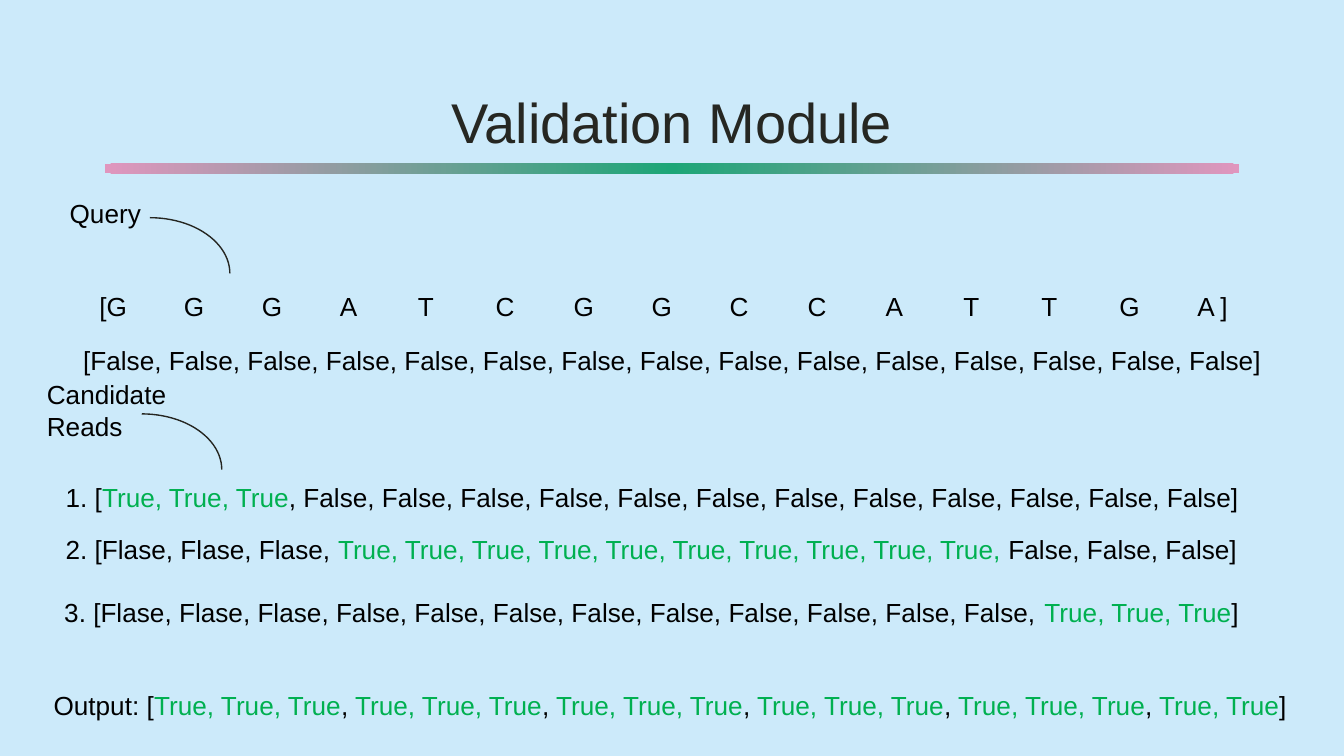
from lxml import etree
from pptx import Presentation
from pptx import util as u
from pptx.dml.color import RGBColor
from pptx.enum import shapes, text
from pptx.oxml import ns

SKY = RGBColor(0xCC, 0xEA, 0xFA)
BLACK = RGBColor(0, 0, 0)
INK = RGBColor(0x26, 0x27, 0x22)
ARC_INK = RGBColor(0x25, 0x26, 0x21)
HIT = RGBColor(0x00, 0xB0, 0x50)
TEAL = RGBColor(0x1D, 0xA6, 0x77)
PINK = RGBColor(0xE0, 0x96, 0xBE)

CELL = 0.1  # inches per grid column and row
LINE_ROWS = 3.4


def grid(*cells):
    return [u.Inches(cell * CELL) for cell in cells]


def repeat(word, count):
    return ", ".join([word] * count)


class SlideBuilder:
    font = "Arial"
    body_size = 14

    def __init__(self, slide):
        self.slide = slide
        slide.background.fill.solid()
        slide.background.fill.fore_color.rgb = SKY

    def style(self, span, color=BLACK, size=body_size):
        span.font.name = self.font
        span.font.size = u.Pt(size)
        span.font.color.rgb = color

    def title(self, words, *place):
        box = self.slide.shapes.add_textbox(*grid(*place))
        frame = box.text_frame
        frame.word_wrap = True
        frame.vertical_anchor = text.MSO_ANCHOR.MIDDLE
        frame.margin_top = frame.margin_bottom = u.Inches(0.1)
        frame.text = words
        para = frame.paragraphs[0]
        para.alignment = text.PP_ALIGN.CENTER
        self.style(para.runs[0], INK, 30)

    def shape(self, kind, *place):
        item = self.slide.shapes.add_shape(kind, *grid(*place))
        item.shadow.inherit = False
        return item

    def radial_bar(self, inner, outer, *place):
        bar = self.shape(shapes.MSO_SHAPE.RECTANGLE, *place)
        bar.line.fill.background()
        bar.fill.gradient()
        for stop, color in zip(bar.fill.gradient_stops, (inner, outer)):
            stop.color.rgb = color
        # Swap the linear direction for a circle around the centre
        linear = bar.element.spPr.find(".//" + ns.qn("a:lin"))
        circle = etree.Element(ns.qn("a:path"), path="circle")
        etree.SubElement(circle, ns.qn("a:fillToRect"),
                         l="50000", t="50000", r="50000", b="50000")
        linear.getparent().replace(linear, circle)

    def arc(self, left, top):
        curve = self.shape(shapes.MSO_SHAPE.ARC, left, top, 11.9, 8.3)
        curve.fill.background()
        curve.line.color.rgb = ARC_INK
        curve.line.width = u.Pt(0.75)

    def label(self, lines, left, top, width, height=LINE_ROWS, accent=HIT):
        """Each line is a list of spans that alternate plain and accented."""
        box = self.slide.shapes.add_textbox(*grid(left, top, width, height))
        frame = box.text_frame
        frame.word_wrap = False
        frame.auto_size = text.MSO_AUTO_SIZE.SHAPE_TO_FIT_TEXT
        for number, spans in enumerate(lines):
            para = frame.add_paragraph() if number else frame.paragraphs[0]
            for index, words in enumerate(spans):
                span = para.add_run()
                span.text = words
                self.style(span, accent if index % 2 else BLACK)
        return box

    def sequence(self, bases, left, top, width, first, step):
        """Bases in brackets, set on evenly spaced tab stops."""
        spans = ["[", "\t".join(bases), "]"]
        box = self.label([spans], left, top, width, accent=BLACK)
        box.text_frame.word_wrap = True
        para = box.text_frame.paragraphs[0]
        para.runs[1]._r.get_or_add_rPr().set("spc", "300")
        stops = etree.SubElement(para._p.get_or_add_pPr(), ns.qn("a:tabLst"))
        for index in range(len(bases) - 1):
            position = grid(first + index * step)[0]
            etree.SubElement(stops, ns.qn("a:tab"), pos=str(int(position)), algn="l")


def main():
    deck = Presentation()
    deck.slide_width = u.Inches(10)
    deck.slide_height = u.Inches(10 * 9 / 16)
    page = SlideBuilder(deck.slides.add_slide(deck.slide_layouts[6]))

    # Heading with its rule
    page.title("Validation Module", 7.8, 5.9, 84.4, 6.3)
    page.radial_bar(TEAL, PINK, 7.8, 12.2, 84.4, 0.7)

    # Query and its starting flags
    page.label([[f"[{repeat('False', 15)}]"]], 5.2, 25.1, 92.8)
    page.sequence("GGGATCGGCCATTGA", 6.4, 21.1, 88.2, first=6.3, step=5.8)
    page.arc(5.2, 16.2)
    page.label([["Query"]], 4.2, 14.2, 7.3)

    # Candidate reads
    page.arc(4.6, 30.8)
    page.label([["Candidate"], ["Reads"]], 2.5, 27.7, 11.5, 5.7)
    triple = repeat("True", 3)
    missed = repeat("Flase", 3)
    reads = [
        (["1. [", triple, f", {repeat('False', 12)}]"], 3.9, 35.3, 90),
        ([f"2. [{missed}, ", repeat("True", 10) + ",", f" {repeat('False', 3)}]"],
         3.9, 39.2, 89.9),
        ([f"3. [{missed}, {repeat('False', 9)}, ", triple, "]"], 3.8, 43.9, 92.3),
    ]
    for spans, *place in reads:
        page.label([spans], *place)

    # Combined output: green groups of three parted by black commas
    output = ["Output: [", triple]
    for group in [triple] * 4 + [repeat("True", 2)]:
        output += [",", " " + group]
    page.label([output + ["]"]], 3, 50.8, 95.2)

    deck.save("out.pptx")


if __name__ == "__main__":
    main()
